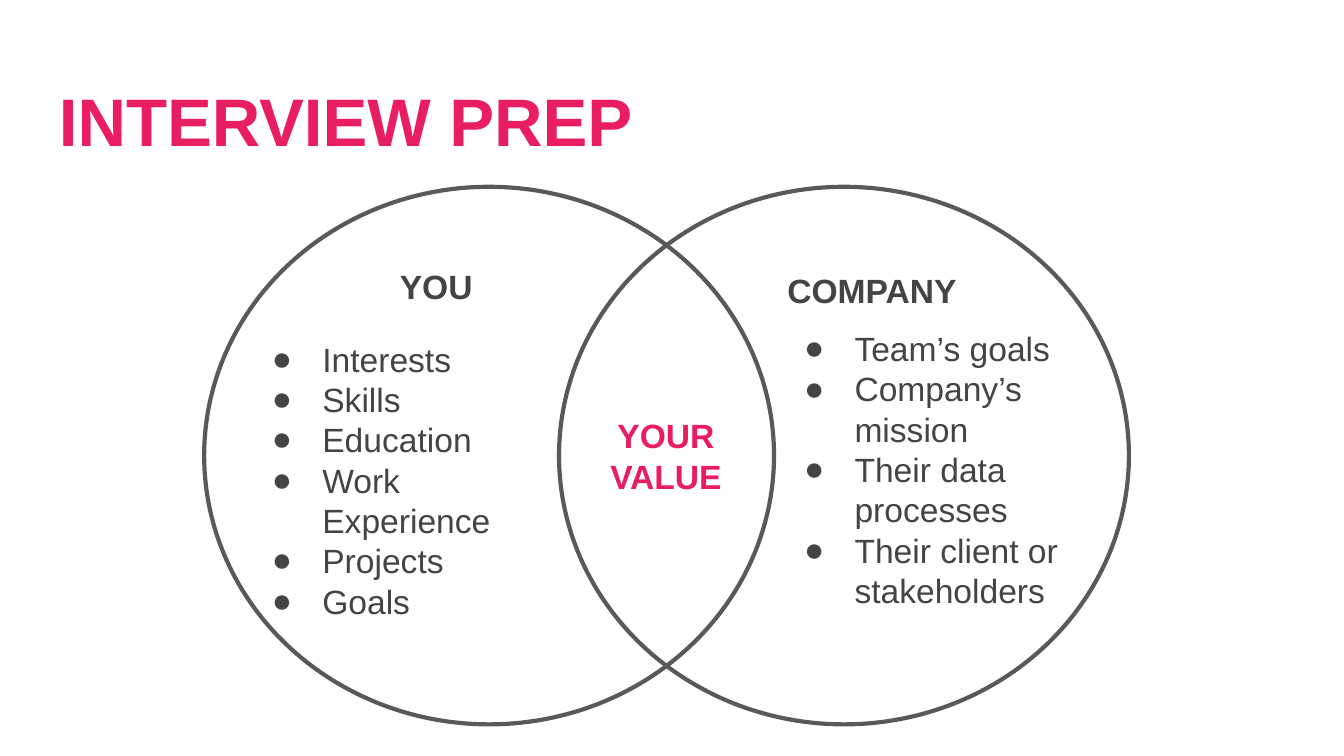
import dataclasses
import typing

import lxml.etree
import pptx
import pptx.dml.color
import pptx.enum.shapes
import pptx.enum.text
import pptx.oxml.ns
import pptx.util

Pt = pptx.util.Pt
Align = pptx.enum.text.PP_ALIGN

COLORS = {"accent": "E91D63", "body": "444444", "outline": "595959"}
FONT = "Arial"


@dataclasses.dataclass(frozen=True)
class Frame:
    left: float
    top: float
    width: float
    height: float


@dataclasses.dataclass(frozen=True)
class Topic:
    circle: Frame
    heading: str
    heading_frame: Frame
    heading_align: Align
    points: tuple[str, ...]
    points_frame: Frame


TOPICS = (
    Topic(
        Frame(109.4, 100.1, 305.3, 288),
        "YOU", Frame(178.6, 135.4, 110.2, 40.3), Align.CENTER,
        ("Interests", "Skills", "Education", "Work Experience", "Projects", "Goals"),
        Frame(129.6, 174.2, 169.2, 156.2),
    ),
    Topic(
        Frame(299.5, 100.1, 305.3, 288),
        "COMPANY", Frame(414.7, 137.5, 131, 36.7), Align.LEFT,
        ("Team’s goals", "Company’s mission", "Their data processes",
         "Their client or stakeholders"),
        Frame(414.7, 168.5, 169.2, 188.6),
    ),
)


def rgb(name: str) -> pptx.dml.color.RGBColor:
    return pptx.dml.color.RGBColor.from_string(COLORS[name])


def place(frame: Frame) -> tuple[int, ...]:
    return tuple(Pt(length) for length in dataclasses.astuple(frame))


def add_bullet(para: typing.Any, color: str) -> None:
    properties = para._p.get_or_add_pPr()
    properties.set("marL", str(Pt(36)))
    properties.set("indent", str(Pt(-27)))
    qn = pptx.oxml.ns.qn
    bullet_color = lxml.etree.SubElement(properties, qn("a:buClr"))
    lxml.etree.SubElement(bullet_color, qn("a:srgbClr"), val=COLORS[color])
    lxml.etree.SubElement(properties, qn("a:buFont"), typeface=FONT)
    lxml.etree.SubElement(properties, qn("a:buChar"), char="●")


def add_text(page: typing.Any, frame: Frame, *lines: str, size: float = 18,
             color: str = "body", bold: bool = False,
             align: Align = Align.LEFT, bullets: bool = False) -> None:
    box = page.shapes.add_textbox(*place(frame)).text_frame
    box.word_wrap = True
    box.margin_left = box.margin_right = Pt(7.2)
    box.margin_top = box.margin_bottom = Pt(7.2)
    for index, line in enumerate(lines):
        para = box.add_paragraph() if index else box.paragraphs[0]
        para.alignment = align
        if bullets:
            add_bullet(para, color)
        span = para.add_run()
        span.text = line
        span.font.name = FONT
        span.font.size = Pt(size)
        span.font.bold = bold
        span.font.color.rgb = rgb(color)


def add_circle(page: typing.Any, frame: Frame) -> None:
    circle = page.shapes.add_shape(pptx.enum.shapes.MSO_SHAPE.OVAL, *place(frame))
    circle.shadow.inherit = False
    circle.fill.background()
    circle.line.color.rgb = rgb("outline")
    circle.line.width = Pt(2.25)


def main() -> None:
    deck = pptx.Presentation()
    deck.slide_width, deck.slide_height = Pt(720), Pt(405)
    page = deck.slides.add_slide(deck.slide_layouts[6])

    add_text(page, Frame(24.5, 35.3, 671, 45.4), "INTERVIEW PREP",
             size=36, color="accent", bold=True)
    for topic in TOPICS:
        add_circle(page, topic.circle)
    for topic in TOPICS:
        add_text(page, topic.heading_frame, topic.heading,
                 bold=True, align=topic.heading_align)
        add_text(page, topic.points_frame, *topic.points, bullets=True)
    add_text(page, Frame(306.7, 215.3, 100.1, 57.6), "YOUR VALUE",
             color="accent", bold=True, align=Align.CENTER)

    deck.save("out.pptx")


if __name__ == "__main__":
    main()
